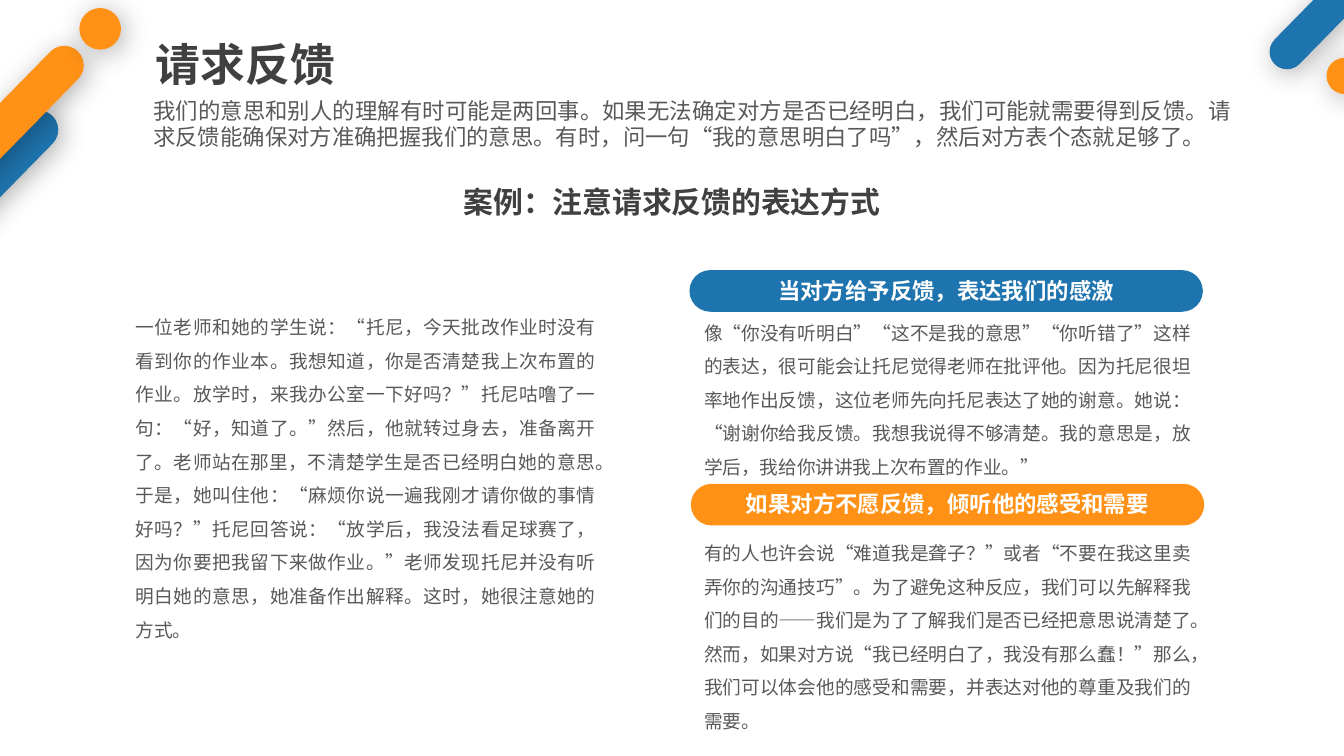
from lxml import etree
from pptx import Presentation
from pptx import util as u
from pptx.dml.color import RGBColor
from pptx.enum import shapes, text
from pptx.oxml import ns

BLUE = RGBColor(0x1E, 0x74, 0xAE)
ORANGE = RGBColor(0xFF, 0x92, 0x16)
DARK = RGBColor(0x40, 0x40, 0x40)
GRAY = RGBColor(0x59, 0x59, 0x59)
WHITE = RGBColor(0xFF, 0xFF, 0xFF)
PX = u.Inches(1) // 100
LATIN, HAN = "Calibri", "Noto Sans CJK SC"
LEFT, MID, JUST = text.PP_ALIGN.LEFT, text.PP_ALIGN.CENTER, text.PP_ALIGN.JUSTIFY
ROUND, OVAL = shapes.MSO_SHAPE.ROUNDED_RECTANGLE, shapes.MSO_SHAPE.OVAL

INTRO = "我们的意思和别人的理解有时可能是两回事。如果无法确定对方是否已经明白，我们可能就需要得到反馈。请求反馈能确保对方准确把握我们的意思。有时，问一句“我的意思明白了吗”，然后对方表个态就足够了。"
STORY = "一位老师和她的学生说：“托尼，今天批改作业时没有看到你的作业本。我想知道，你是否清楚我上次布置的作业。放学时，来我办公室一下好吗？”托尼咕噜了一句：“好，知道了。”然后，他就转过身去，准备离开了。老师站在那里，不清楚学生是否已经明白她的意思。于是，她叫住他：“麻烦你说一遍我刚才请你做的事情好吗？”托尼回答说：“放学后，我没法看足球赛了，因为你要把我留下来做作业。”老师发现托尼并没有听明白她的意思，她准备作出解释。这时，她很注意她的方式。"
THANKS = "像“你没有听明白”“这不是我的意思”“你听错了”这样的表达，很可能会让托尼觉得老师在批评他。因为托尼很坦率地作出反馈，这位老师先向托尼表达了她的谢意。她说：“谢谢你给我反馈。我想我说得不够清楚。我的意思是，放学后，我给你讲讲我上次布置的作业。”"
LISTEN = "有的人也许会说“难道我是聋子？”或者“不要在我这里卖弄你的沟通技巧”。为了避免这种反应，我们可以先解释我们的目的——我们是为了了解我们是否已经把意思说清楚了。然而，如果对方说“我已经明白了，我没有那么蠢！”那么，我们可以体会他的感受和需要，并表达对他的尊重及我们的需要。"


def write(frame, words, size=10, face=LATIN, east=HAN, color=GRAY, bold=False,
          align=JUST, lead=1.0, pad=True, anchor=text.MSO_ANCHOR.TOP):
    frame.word_wrap = True
    frame.auto_size = text.MSO_AUTO_SIZE.NONE
    frame.vertical_anchor = anchor
    frame.margin_left = frame.margin_right = 10 * PX if pad else 0
    frame.margin_top = frame.margin_bottom = 5 * PX if pad else 0
    par = frame.paragraphs[0]
    par.alignment, par.line_spacing = align, lead
    run = par.add_run()
    run.text = words
    font = run.font
    font.size, font.bold, font.name = u.Pt(size), bold, face
    font.color.rgb = color
    etree.SubElement(run._r.get_or_add_rPr(), ns.qn("a:ea"), typeface=east)


def shade(shape):
    fx = shape._element.spPr.find(ns.qn("a:effectLst"))
    glow = etree.SubElement(fx, ns.qn("a:outerShdw"), blurRad=str(u.Pt(15)),
                            dist=str(u.Pt(3)), dir="2700000", algn="tl", rotWithShape="0")
    tint = etree.SubElement(glow, ns.qn("a:srgbClr"), val="000000")
    etree.SubElement(tint, ns.qn("a:alpha"), val="30000")


class Deck:
    """Draws styled elements on the current slide."""

    def __init__(self):
        self.file = Presentation()
        wide = 1000 * PX
        self.file.slide_width, self.file.slide_height = wide, wide * 9 // 16
        self.slide = self.file.slides.add_slide(self.file.slide_layouts[5])

    def title(self, box, words):
        shape = self.slide.shapes.title
        shape.left, shape.top, shape.width, shape.height = (n * PX for n in box)
        write(shape.text_frame, words, size=24, face=HAN, color=DARK,
              bold=True, align=LEFT, anchor=text.MSO_ANCHOR.MIDDLE)

    def text(self, box, words, **style):
        shape = self.slide.shapes.add_textbox(*(n * PX for n in box))
        write(shape.text_frame, words, **style)

    def head(self, box, words, **style):
        self.text(box, words, east=LATIN, bold=True, align=MID, pad=False, **style)

    def shape(self, kind, box, color):
        shape = self.slide.shapes.add_shape(kind, *(n * PX for n in box))
        shape.shadow.inherit = False
        shape.fill.solid()
        shape.fill.fore_color.rgb = color
        shape.line.fill.background()
        if kind == ROUND:
            shape.adjustments[0] = 0.5
        return shape

    def bar(self, box, color):
        shape = self.shape(ROUND, box, color)
        shape.rotation = 44.4
        shade(shape)

    def dot(self, box, color):
        shade(self.shape(OVAL, box, color))

    def pill(self, box, color, words):
        left, top, wide, _ = box
        self.shape(ROUND, box, color)
        self.head((left + 15, top + 5, wide - 30, 20), words, size=12, color=WHITE)


def main():
    deck = Deck()
    deck.bar((-35, 62, 29, 170), BLUE)
    deck.bar((1002, -115, 26, 190), BLUE)
    deck.dot((987, 43, 27, 27), ORANGE)
    deck.bar((-16, 14, 29, 170), ORANGE)
    deck.dot((59, 6, 31, 31), ORANGE)

    deck.title((106, 22, 591, 50), "请求反馈")
    deck.head((319, 137, 362, 27), "案例：注意请求反馈的表达方式", size=16, color=DARK)
    deck.text((114, 72, 803, 40), INTRO, size=12, lead=u.Pt(14.4), pad=False)

    for box, words in (((91, 222, 362, 260), STORY),
                       ((514, 226, 382, 136), THANKS),
                       ((514, 390, 382, 161), LISTEN)):
        deck.text(box, words, lead=u.Pt(18))

    deck.pill((513, 201, 382, 31), BLUE, "当对方给予反馈，表达我们的感激")
    deck.pill((514, 360, 382, 31), ORANGE, "如果对方不愿反馈，倾听他的感受和需要")
    deck.file.save("out.pptx")


if __name__ == "__main__":
    main()
